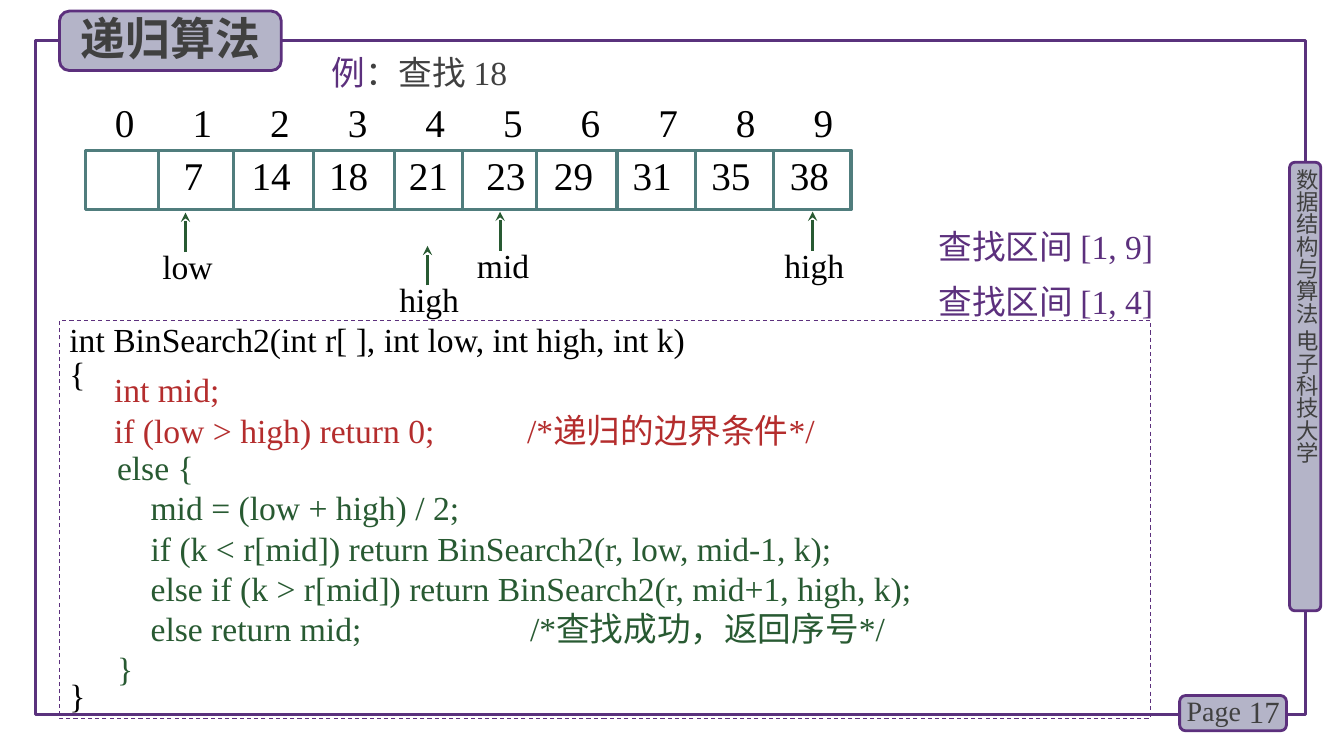
from dataclasses import dataclass

from lxml.etree import SubElement
from pptx import Presentation
from pptx.dml.color import RGBColor
from pptx.enum.dml import MSO_LINE
from pptx.enum.shapes import MSO_CONNECTOR, MSO_SHAPE
from pptx.enum.text import MSO_ANCHOR, PP_ALIGN
from pptx.oxml.ns import qn
from pptx.util import Inches, Pt


@dataclass(frozen=True)
class Theme:
    frame: str = "5A327D"
    purple: str = "5C307D"
    plate: str = "B4B4C8"
    gray: str = "404040"
    black: str = "000000"
    teal: str = "507D7D"
    green: str = "285A32"
    red: str = "B42D2D"
    latin: str = "Times New Roman"
    chinese: str = "Noto Sans CJK SC"
    title: int = 32
    cell: int = 28
    body: int = 24
    number: int = 22
    page: int = 20
    side: int = 16


def assign(target, values):
    for name, value in values.items():
        setattr(target, name, value)


class SlideBuilder:
    def __init__(self, page, theme):
        self.page = page
        self.theme = theme

    def fill_text(self, box, lines, color, size, font=None, bold=False, inset=(0.1, 0.05),
                  anchor=MSO_ANCHOR.TOP, align=PP_ALIGN.LEFT, tabs=(), spacing=None, before=()):
        """Each line is a string or a list of (text, color) spans."""
        frame = box.text_frame
        side, top = map(Inches, inset)
        assign(frame, {"word_wrap": True, "vertical_anchor": anchor, "margin_left": side,
                       "margin_right": side, "margin_top": top, "margin_bottom": top})
        for index, line in enumerate(lines):
            para = frame.paragraphs[0] if index == 0 else frame.add_paragraph()
            if tabs:
                stops = SubElement(para._p.get_or_add_pPr(), qn("a:tabLst"))
                for position, kind in tabs:
                    SubElement(stops, qn("a:tab"), pos=str(int(Inches(position))), algn=kind)
            gap = before[index] if index < len(before) else 0
            assign(para, {"alignment": align, "space_before": Pt(gap)})
            if spacing:
                para.line_spacing = Pt(spacing)
            for words, tint in [(line, color)] if isinstance(line, str) else line:
                span = para.add_run()
                span.text = words
                assign(span.font, {"name": font or self.theme.latin, "size": Pt(size), "bold": bold})
                span.font.color.rgb = RGBColor.from_string(tint)
                SubElement(span.font._element, qn("a:ea"), typeface=self.theme.chinese)
        return box

    def text(self, place, lines, color, size, host=None, **style):
        box = (host or self.page).shapes.add_textbox(*map(Inches, place))
        return self.fill_text(box, lines, color, size, **style)

    def title(self, place, words):
        box = self.page.shapes.title
        assign(box, dict(zip(("left", "top", "width", "height"), map(Inches, place))))
        box.element.getparent().append(box.element)  # bring in front of its plate
        self.fill_text(box, [words], self.theme.gray, self.theme.title, font=self.theme.chinese,
                       bold=True, anchor=MSO_ANCHOR.MIDDLE)

    def outline(self, place, color, width, dash=None, kind=MSO_SHAPE.RECTANGLE, fill=None):
        shape = self.page.shapes.add_shape(kind, *map(Inches, place))
        shape.shadow.inherit = False
        if fill:
            shape.fill.solid()
            shape.fill.fore_color.rgb = RGBColor.from_string(fill)
        else:
            shape.fill.background()
        shape.line.color.rgb = RGBColor.from_string(color)
        assign(shape.line, {"width": Pt(width), "dash_style": dash})
        return shape

    def plate(self, place):
        return self.outline(place, self.theme.purple, 2, kind=MSO_SHAPE.ROUNDED_RECTANGLE,
                            fill=self.theme.plate)

    def line(self, start, end, color, host=None, arrow=False):
        link = (host or self.page).shapes.add_connector(
            MSO_CONNECTOR.STRAIGHT, *map(Inches, (*start, *end)))
        link.line.color.rgb = RGBColor.from_string(color)
        link.line.width = Pt(2.25)
        if arrow:
            SubElement(link.line._get_or_add_ln(), qn("a:tailEnd"), type="stealth")
        SubElement(link._element.spPr, qn("a:effectLst"))

    def pointer(self, label, x, tip, shift):
        group = self.page.shapes.add_group_shape()
        self.text((x - shift, tip + 0.33, 0.65, 0.47), [label], self.theme.black,
                  self.theme.body, host=group, inset=(0, 0))
        self.line((x, tip + 0.39), (x, tip), self.theme.green, host=group, arrow=True)


def main():
    theme = Theme()
    deck = Presentation()
    assign(deck, {"slide_width": Inches(13.33), "slide_height": Inches(7.5)})
    page = deck.slides.add_slide(deck.slide_layouts[5])
    build = SlideBuilder(page, theme)

    # Frame, side label and page number
    build.outline((0.35, 0.4, 12.6, 6.69), theme.frame, 2.25)
    build.plate((12.79, 1.61, 0.31, 4.45))
    side = build.text((12.83, 1.67, 0.27, 4.49), ["数据结构与算法 电子科技大学"], theme.gray,
                      theme.side, font=theme.chinese, inset=(0, 0))
    side.text_frame._txBody.bodyPr.set("vert", "eaVert")
    build.plate((11.7, 6.9, 1.06, 0.35))
    build.text((12.2, 6.86, 0.59, 0.4), ["17"], theme.gray, theme.number,
               anchor=MSO_ANCHOR.MIDDLE, align=PP_ALIGN.RIGHT)
    build.text((11.67, 6.83, 0.78, 0.44), ["Page"], theme.gray, theme.page)

    # Title
    build.plate((0.59, 0.11, 2.2, 0.59))
    build.title((0.7, 0.05, 2.05, 0.64), "递归算法")

    # Array with its indices
    values = (7, 14, 18, 21, 23, 29, 31, 35, 38)
    centers = (0.97, 1.74, 2.51, 3.3, 4.07, 4.74, 5.52, 6.3, 7.08)
    array = build.outline((0.85, 1.49, 7.59, 0.59), theme.teal, 2.25)
    build.fill_text(array, ["".join(f"\t{value}" for value in values)], theme.black, theme.cell,
                    inset=(0.1, 0.01), tabs=[(center, "ctr") for center in centers])
    for x in (1.57, 2.32, 3.11, 3.91, 4.59, 5.32, 6.12, 6.9, 7.67):
        build.line((x, 1.49), (x, 2.09), theme.teal)
    build.text((1.08, 0.98, 7.42, 0.41), ["\t".join(map(str, range(10)))], theme.black,
               theme.cell, inset=(0.06, 0),
               tabs=[(0.77 * index, "l") for index in range(1, 10)])

    # Pointers under the array
    for label, x, tip, shift in (("low", 1.84, 2.11, 0.23), ("high", 8.06, 2.1, 0.28),
                                 ("mid", 4.96, 2.1, 0.23), ("high", 4.24, 2.44, 0.28)):
        build.pointer(label, x, tip, shift)

    # Example and search ranges
    build.text((3.19, 0.47, 2.34, 0.5), [[("例", theme.purple), ("：查找 18", theme.gray)]],
               theme.gray, theme.body)
    for top, words in ((2.19, "查找区间 [1, 9]"), (2.74, "查找区间 [1, 4]")):
        build.text((9.21, top, 2.74, 0.5), [words], theme.purple, theme.body)

    # Code: outer function, boundary condition, recursion
    listing = build.outline((0.59, 3.18, 10.82, 3.95), theme.purple, 0.75, MSO_LINE.DASH)
    build.fill_text(listing, ["int BinSearch2(int r[ ], int low, int high, int k)", "{", "}"],
                    theme.black, theme.body, spacing=24, before=(0, 0, 206))
    code = {"spacing": 24, "before": (0,) + (4.8,) * 5, "tabs": [(4.43, "l")]}
    build.text((0.7, 3.68, 8.53, 0.81), [
        "    int mid;",
        "    if (low > high) return 0;\t/*递归的边界条件*/",
    ], theme.red, theme.body, **code)
    build.text((0.73, 4.45, 11, 2.43), [
        "    else {",
        "        mid = (low + high) / 2;",
        "        if (k < r[mid]) return BinSearch2(r, low, mid-1, k);",
        "        else if (k > r[mid]) return BinSearch2(r, mid+1, high, k);",
        "        else return mid;\t/*查找成功，返回序号*/",
        "    }",
    ], theme.green, theme.body, **code)

    deck.save("out.pptx")


if __name__ == "__main__":
    main()
